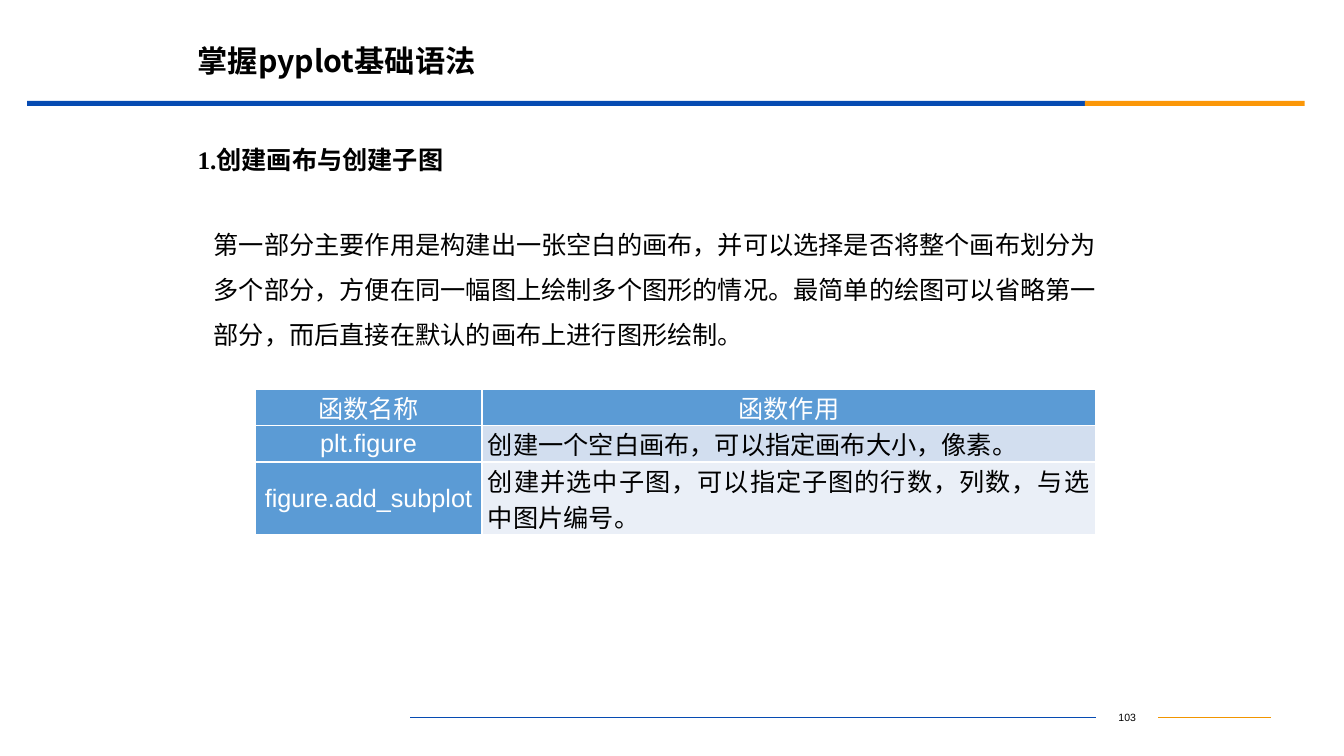
from lxml import etree
from pptx import Presentation
from pptx.dml.color import RGBColor
from pptx.enum.shapes import MSO_CONNECTOR, MSO_SHAPE
from pptx.enum.text import MSO_ANCHOR, MSO_AUTO_SIZE, PP_ALIGN
from pptx.oxml.ns import qn
from pptx.util import Inches, Pt

MIDDLE, TOP = MSO_ANCHOR.MIDDLE, MSO_ANCHOR.TOP
LEFT, CENTER, JUSTIFY = PP_ALIGN.LEFT, PP_ALIGN.CENTER, PP_ALIGN.JUSTIFY
CJK_FONT = "Noto Sans CJK SC"
COLORS = {
    "black": "000000", "white": "FFFFFF", "blue": "064BB2",
    "orange": "FB9708", "footer orange": "F19500",
    "header": "5B9BD5", "band dark": "D2DEEF", "band light": "EAEFF7",
}


def rgb(name):
    return RGBColor.from_string(COLORS[name])


def write(frame, text, size, font, color="black", bold=False, align=LEFT):
    """Fill the first paragraph with one run in Latin and East Asian fonts."""
    para = frame.paragraphs[0]
    para.alignment = align
    span = para.add_run()
    span.text = text
    span.font.size = Pt(size)
    span.font.bold = bold
    span.font.name = font
    span.font.color.rgb = rgb(color)
    latin = span.font._element.find(qn("a:latin"))
    east_asian = etree.Element(qn("a:ea"), typeface=CJK_FONT)
    latin.addnext(east_asian)
    return para


deck = Presentation()
deck.slide_width, deck.slide_height = Inches(13.33), Inches(7.5)
page = deck.slides.add_slide(deck.slide_layouts[3])
title, body, heading = page.placeholders

# Header bars
for left, width, color in [(0.27, 10.5, "blue"), (10.76, 2.18, "orange")]:
    bar = page.shapes.add_shape(
        MSO_SHAPE.RECTANGLE, Inches(left), Inches(1), Inches(width), Inches(0.05))
    bar.shadow.inherit = False
    bar.fill.solid()
    bar.fill.fore_color.rgb = rgb(color)
    bar.line.fill.background()

# Title, section heading and explanation
texts = [
    (title, (1.86, 0.41, 9, 0.43), "掌握pyplot基础语法",
     21.6, CJK_FONT, True, MIDDLE, 0.9, 0),
    (heading, (1.86, 1.43, 9.11, 0.35), "1.创建画布与创建子图",
     18, "Times New Roman", True, MIDDLE, 0.9, 5),
    (body, (2.02, 2.07, 9.11, 3.59),
     "第一部分主要作用是构建出一张空白的画布，并可以选择是否将整个画布划分为"
     "多个部分，方便在同一幅图上绘制多个图形的情况。最简单的绘图可以省略第一"
     "部分，而后直接在默认的画布上进行图形绘制。",
     18, CJK_FONT, False, TOP, 1.5, 7.5),
]
for box, place, text, size, font, bold, anchor, spacing, before in texts:
    box.left, box.top, box.width, box.height = map(Inches, place)
    frame = box.text_frame
    frame.word_wrap = True
    frame.auto_size = MSO_AUTO_SIZE.NONE
    frame.vertical_anchor = anchor
    para = write(frame, text, size, font, bold=bold)
    para.line_spacing = spacing
    para.space_before = Pt(before)
    properties = para._p.get_or_add_pPr()
    properties.set("marL", "0")
    properties.set("indent", "0")
    etree.SubElement(properties, qn("a:buNone"))

# Function table
rows = [
    ("函数名称", "函数作用"),
    ("plt.figure", "创建一个空白画布，可以指定画布大小，像素。"),
    ("figure.add_subplot", "创建并选中子图，可以指定子图的行数，列数，与选中图片编号。"),
]
table = page.shapes.add_table(
    3, 2, Inches(2.53), Inches(3.86), Inches(8.34), Inches(1.3)).table
for column, width in zip(table.columns, (2.25, 6.09)):
    column.width = Inches(width)
for row, height in zip(table.rows, (0.35, 0.35, 0.6)):
    row.height = Inches(height)
for r, texts_in_row in enumerate(rows):
    for c, text in enumerate(texts_in_row):
        cell = table.cell(r, c)
        described = r > 0 and c > 0
        cell.vertical_anchor = MIDDLE
        cell.margin_left = cell.margin_right = Inches(0.06)
        cell.margin_top = cell.margin_bottom = 0
        write(cell.text_frame, text, 18, "Arial",
              "black" if described else "white",
              align=JUSTIFY if described else CENTER)
        properties = cell._tc.get_or_add_tcPr()
        for side in ("lnL", "lnR", "lnT", "lnB"):
            border = etree.SubElement(properties, qn(f"a:{side}"), w=str(Pt(1)))
            fill = etree.SubElement(border, qn("a:solidFill"))
            etree.SubElement(fill, qn("a:srgbClr"), val=COLORS["white"])
        cell.fill.solid()
        band = "band dark" if r == 1 else "band light"
        cell.fill.fore_color.rgb = rgb(band if described else "header")

# Footer rules and page number
for start, end, color, weight in [
        (4.07, 10.87, "blue", 0.5), (11.49, 12.61, "footer orange", 0.75)]:
    rule = page.shapes.add_connector(
        MSO_CONNECTOR.STRAIGHT, Inches(start), Inches(7.12), Inches(end), Inches(7.12))
    rule.line.color.rgb = rgb(color)
    rule.line.width = Pt(weight)
    etree.SubElement(rule._element.spPr, qn("a:effectLst"))
number = page.shapes.add_textbox(
    Inches(10.87), Inches(6.99), Inches(0.62), Inches(0.25))
number.text_frame.word_wrap = True
number.text_frame.vertical_anchor = MIDDLE
write(number.text_frame, "103", 7.5, "Arial", align=CENTER)

deck.save("out.pptx")
